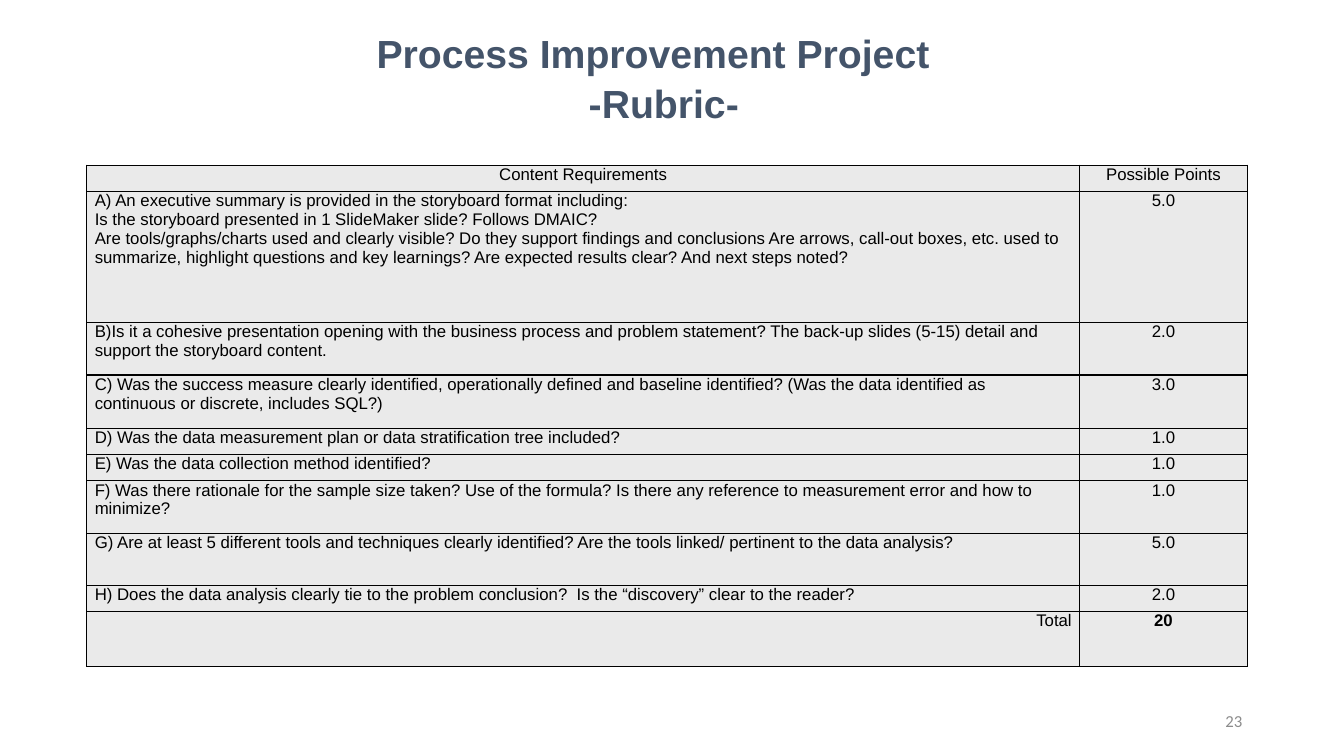
from lxml import etree
from pptx import Presentation
from pptx.dml.color import RGBColor
from pptx.enum.text import MSO_ANCHOR, PP_ALIGN
from pptx.oxml.ns import qn
from pptx.util import Inches, Pt

LEFT, CENTER, RIGHT = PP_ALIGN.LEFT, PP_ALIGN.CENTER, PP_ALIGN.RIGHT
MIDDLE = MSO_ANCHOR.MIDDLE

TITLE_LINES = ["Process Improvement Project ", " -Rubric-"]
PAGE_NUMBER = "23"
COLUMN_WIDTHS = [9.85, 1.66]
RUBRIC = [
    (0.26, ["Content Requirements"], "Possible Points"),
    (1.3, [
        "A) An executive summary is provided in the storyboard format including: ",
        "Is the storyboard presented in 1 SlideMaker slide? Follows DMAIC?",
        "Are tools/graphs/charts used and clearly visible? Do they support findings and conclusions "
        "Are arrows, call-out boxes, etc. used to summarize, highlight questions and key learnings? "
        "Are expected results clear? And next steps noted?",
    ], "5.0"),
    (0.52, ["B)Is it a cohesive presentation opening with the business process and problem statement? "
            "The back-up slides (5-15) detail and support the storyboard content."], "2.0"),
    (0.53, ["C) Was the success measure clearly identified, operationally defined and baseline identified? "
            "(Was the data identified as continuous or discrete, includes SQL?)"], "3.0"),
    (0.26, ["D) Was the data measurement plan or data stratification tree included?"], "1.0"),
    (0.26, ["E) Was the data collection method identified?"], "1.0"),
    (0.52, ["F) Was there rationale for the sample size taken? Use of the formula? "
            "Is there any reference to measurement error and how to minimize?"], "1.0"),
    (0.52, ["G) Are at least 5 different tools and techniques clearly identified? "
            "Are the tools linked/ pertinent to the data analysis?"], "5.0"),
    (0.26, ["H) Does the data analysis clearly tie to the problem conclusion?  "
            "Is the “discovery” clear to the reader?"], "2.0"),
    (0.54, ["Total"], "20"),
]


def color(value):
    return RGBColor.from_string(value)


def write(paragraph, lines, alignment, size=12, font="Arial", ink="000000", bold=False):
    paragraph.alignment = alignment
    for index, line in enumerate(lines):
        if index:
            paragraph.add_line_break()
        run = paragraph.add_run()
        run.text = line
        run.font.size = Pt(size)
        run.font.name = font
        run.font.bold = bold
        run.font.color.rgb = color(ink)


def add_borders(cell):
    properties = cell._tc.get_or_add_tcPr()
    for side in ("a:lnL", "a:lnR", "a:lnT", "a:lnB"):
        line = etree.SubElement(properties, qn(side), w=str(Pt(1)))
        fill = etree.SubElement(line, qn("a:solidFill"))
        etree.SubElement(fill, qn("a:srgbClr"), val="000000")


def fill_cell(cell, lines, alignment, bold=False):
    cell.margin_left = cell.margin_right = Inches(0.08)
    cell.margin_top = cell.margin_bottom = 0
    add_borders(cell)
    cell.fill.solid()
    cell.fill.fore_color.rgb = color("EAEAEA")
    write(cell.text_frame.paragraphs[0], lines, alignment, bold=bold)


def add_title(slide):
    title = slide.shapes.title
    title.left, title.top = Inches(2.28), Inches(0.19)
    title.width, title.height = Inches(8.5), Inches(1.16)
    frame = title.text_frame
    frame.word_wrap = True
    frame.vertical_anchor = MIDDLE
    for index, line in enumerate(TITLE_LINES):
        paragraph = frame.add_paragraph() if index else frame.paragraphs[0]
        paragraph.space_before = Pt(2 * index)
        write(paragraph, [line], CENTER, 28, ink="44546A", bold=True)


def add_rubric(slide):
    height = sum(row[0] for row in RUBRIC)
    table = slide.shapes.add_table(
        len(RUBRIC), len(COLUMN_WIDTHS), Inches(0.86), Inches(1.64),
        Inches(sum(COLUMN_WIDTHS)), Inches(height)).table
    table.first_row = table.horz_banding = False
    for column, width in zip(table.columns, COLUMN_WIDTHS):
        column.width = Inches(width)
    last = len(RUBRIC) - 1
    alignments = {0: CENTER, last: RIGHT}
    for index, (row_height, requirement, points) in enumerate(RUBRIC):
        table.rows[index].height = Inches(row_height)
        fill_cell(table.cell(index, 0), requirement, alignments.get(index, LEFT))
        fill_cell(table.cell(index, 1), [points], CENTER, bold=index == last)


def add_page_number(slide):
    box = slide.shapes.add_textbox(Inches(9.42), Inches(6.95), Inches(3), Inches(0.4))
    box.text_frame.word_wrap = True
    box.text_frame.vertical_anchor = MIDDLE
    write(box.text_frame.paragraphs[0], [PAGE_NUMBER], RIGHT, font="Calibri", ink="8C8C8C")


def main():
    presentation = Presentation()
    presentation.slide_width, presentation.slide_height = Inches(13.33), Inches(7.5)
    slide = presentation.slides.add_slide(presentation.slide_layouts[5])
    add_title(slide)
    add_rubric(slide)
    add_page_number(slide)
    presentation.save("out.pptx")


if __name__ == "__main__":
    main()
